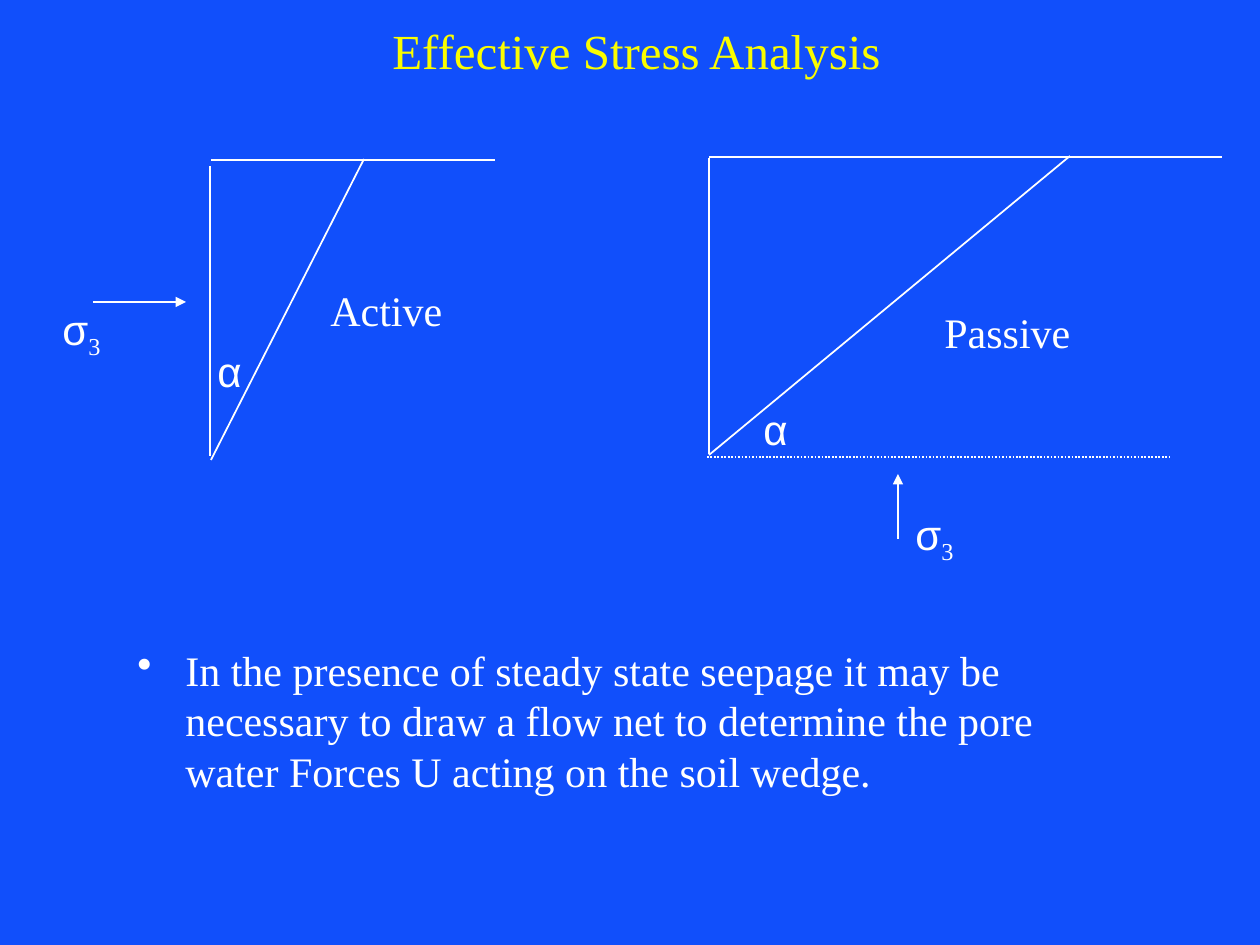
from lxml import etree
from pptx import Presentation
from pptx import util as u
from pptx.dml.color import RGBColor
from pptx.enum import dml, shapes, text
from pptx.oxml import ns

PX = 914400 // 126  # EMU per px

BLUE = RGBColor(0x11, 0x4F, 0xFB)
WHITE = RGBColor(0xFF, 0xFF, 0xFF)
YELLOW = RGBColor(0xFA, 0xFD, 0x00)

SERIF, SANS = "Times New Roman", "Arial"
BODY = {"name": SERIF, "size": u.Pt(24)}
GREEK = {"name": SANS, "size": u.Pt(24)}
TITLE = {"name": SERIF, "size": u.Pt(28)}


def px(*lengths):
    return [u.Emu(length * PX) for length in lengths]


def add_text(page, place, content, style, color=WHITE, subscript=None, grow=True):
    """Add a one-paragraph text box and return its paragraph."""
    frame = page.shapes.add_textbox(*px(*place)).text_frame
    frame.word_wrap = True
    if grow:
        frame.auto_size = text.MSO_AUTO_SIZE.SHAPE_TO_FIT_TEXT
    para = frame.paragraphs[0]
    spans = [(content, style)]
    if subscript:
        spans.append((subscript, BODY))
    for words, span_style in spans:
        span = para.add_run()
        span.text = words
        for key, value in span_style.items():
            setattr(span.font, key, value)
        span.font.color.rgb = color
    if subscript:
        span.font._element.set("baseline", "-25000")
    return para


def add_bullet(para, indent):
    props = para._p.get_or_add_pPr()
    props.set("marL", str(indent * PX))
    props.set("indent", str(-indent * PX))
    color = etree.SubElement(props, ns.qn("a:buClr"))
    etree.SubElement(color, ns.qn("a:srgbClr"), val=str(WHITE))
    etree.SubElement(props, ns.qn("a:buChar"), char="•")


def add_line(page, ends, arrow=False, dash=None):
    line = page.shapes.add_connector(shapes.MSO_CONNECTOR.STRAIGHT, *px(*ends))
    line.line.color.rgb = WHITE
    line.line.width = u.Pt(1)
    if dash:
        line.line.dash_style = dash
    if arrow:
        etree.SubElement(line.line._get_or_add_ln(), ns.qn("a:tailEnd"), type="triangle")
    etree.SubElement(line._element.spPr, ns.qn("a:effectLst"))


def main():
    deck = Presentation()
    deck.slide_width, deck.slide_height = u.Inches(10), u.Inches(7.5)
    page = deck.slides.add_slide(deck.slide_layouts[6])
    page.background.fill.solid()
    page.background.fill.fore_color.rgb = BLUE

    # Title and explanation
    title = add_text(page, (92, 14, 1089, 71), "Effective Stress Analysis", TITLE, YELLOW)
    title.alignment = text.PP_ALIGN.CENTER
    note = add_text(
        page, (125, 638, 1012, 198),
        "In the presence of steady state seepage it may be necessary to draw "
        "a flow net to determine the pore water Forces U acting on the soil wedge.",
        BODY, grow=False)
    add_bullet(note, 48)

    # Wall, ground surface and slip plane of each wedge
    active = [(210, 166, 210, 456), (211, 160, 495, 160), (211, 460, 364, 159)]
    passive = [(709, 158, 709, 454), (709, 157, 1222, 157), (709, 455, 1070, 156)]
    for ends in active + passive:
        add_line(page, ends)
    add_line(page, (707, 457, 1170, 457), dash=dml.MSO_LINE.ROUND_DOT)

    # Confining stress arrows
    for ends in [(93, 302, 186, 302), (898, 539, 898, 474)]:
        add_line(page, ends, arrow=True)

    # Labels
    for left, top in [(50, 297), (903, 502)]:
        add_text(page, (left, top, 102, 69), "σ", GREEK, subscript="3")
    for left, top in [(205, 339), (751, 397)]:
        add_text(page, (left, top, 115, 63), "α", GREEK)
    add_text(page, (318, 278, 178, 63), "Active", BODY)
    add_text(page, (932, 300, 270, 63), "Passive", BODY)

    deck.save("out.pptx")


if __name__ == "__main__":
    main()
